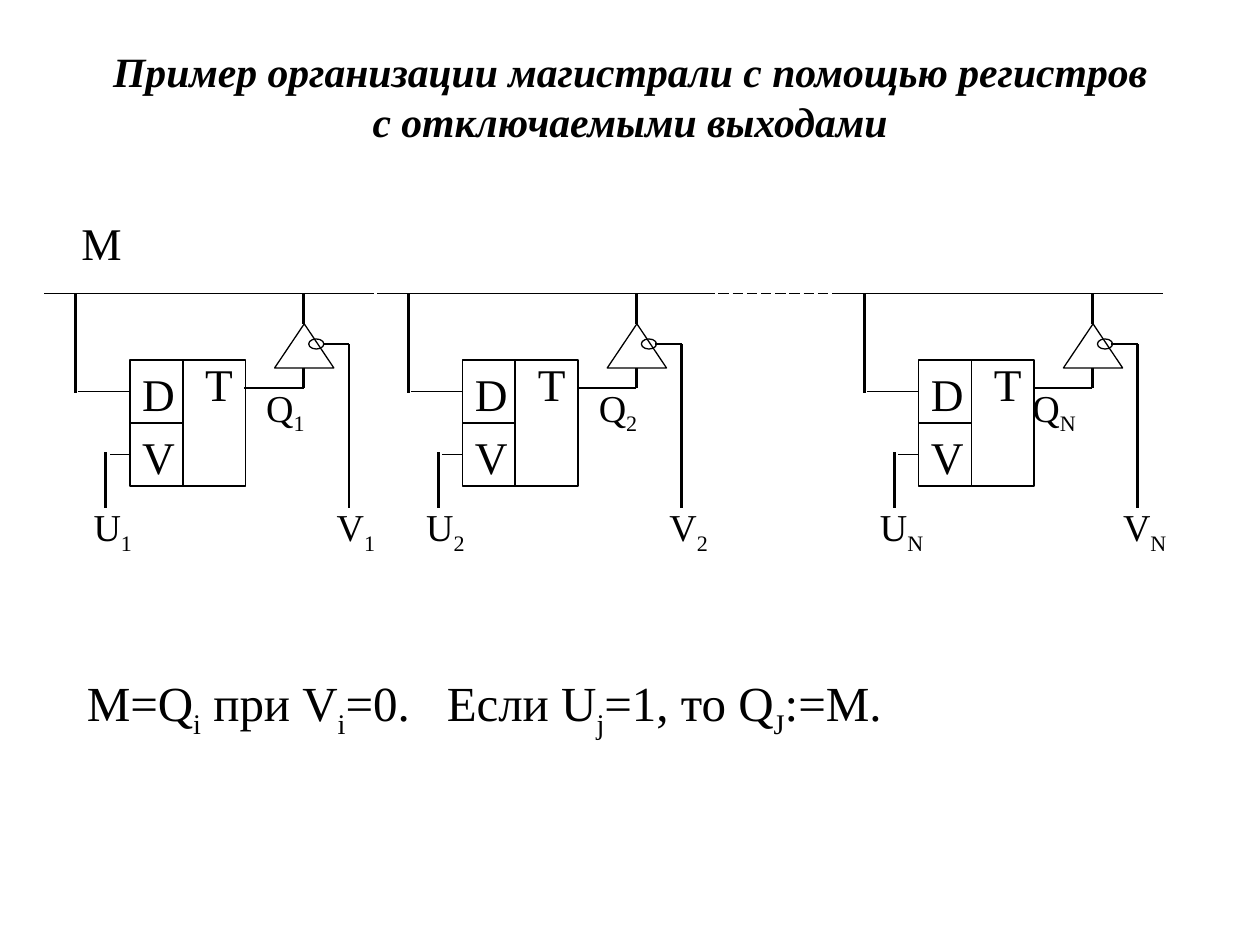
from lxml import etree
from pptx import Presentation
from pptx import util as u
from pptx.dml.color import RGBColor
from pptx.enum import dml, shapes, text
from pptx.oxml import ns

BLACK = RGBColor(0, 0, 0)
FONT = "Times New Roman"
CENTER = text.PP_ALIGN.CENTER
LEFT = text.PP_ALIGN.LEFT
BUS_Y = 2.33


def add_label(parent, content, left, top, width, height, size, align=CENTER):
    label = parent.shapes.add_textbox(u.Inches(left), u.Inches(top), u.Inches(width), u.Inches(height))
    frame = label.text_frame
    frame.word_wrap = True
    paragraph = frame.paragraphs[0]
    paragraph.alignment = align
    for index, part in enumerate(content.split("_")):
        if not part:
            continue
        run = paragraph.add_run()
        run.text = part
        run.font.name = FONT
        run.font.size = u.Pt(size)
        run.font.color.rgb = BLACK
        if index % 2:
            run._r.get_or_add_rPr().set("baseline", "-25000")
    return label


def add_line(parent, x1, y1, x2, y2, width):
    line = parent.shapes.add_connector(
        shapes.MSO_CONNECTOR.STRAIGHT, u.Inches(x1), u.Inches(y1), u.Inches(x2), u.Inches(y2))
    line.line.color.rgb = BLACK
    line.line.width = u.Pt(width)
    etree.SubElement(line._element.spPr, ns.qn("a:effectLst"))
    return line


presentation = Presentation()
presentation.slide_width = u.Inches(10)
presentation.slide_height = u.Inches(7.5)
slide = presentation.slides.add_slide(presentation.slide_layouts[5])

title = slide.shapes.title
title.left, title.top = u.Inches(0.75), u.Inches(0.29)
title.width, title.height = u.Inches(8.5), u.Inches(0.94)
title.text_frame.text = "Пример организации магистрали с помощью регистров с отключаемыми выходами"
title.text_frame.vertical_anchor = text.MSO_ANCHOR.MIDDLE
title.text_frame.paragraphs[0].alignment = CENTER
title_font = title.text_frame.paragraphs[0].runs[0].font
title_font.name = FONT
title_font.size = u.Pt(23.8)
title_font.bold = title_font.italic = True
title_font.color.rgb = BLACK

add_label(slide, "M", 0.43, 1.66, 0.75, 0.54, 25.9)

RECTANGLE = shapes.MSO_SHAPE.RECTANGLE
OUTLINES = [
    (RECTANGLE, 1.03, 2.86, 0.42, 0.5, 1),
    (RECTANGLE, 1.03, 3.36, 0.42, 0.5, 1),
    (RECTANGLE, 1.45, 2.86, 0.5, 1, 1),
    (shapes.MSO_SHAPE.FLOWCHART_EXTRACT, 2.18, 2.57, 0.47, 0.35, 0.75),
    (shapes.MSO_SHAPE.OVAL, 2.45, 2.69, 0.12, 0.08, 0.75),
]
WIRES = [
    (2.97, BUS_Y, 0.35, BUS_Y, 0.75),
    (0.6, BUS_Y, 0.6, 3.12, 1.5),
    (1.03, 3.11, 0.62, 3.11, 0.75),
    (1.03, 3.61, 0.87, 3.61, 0.75),
    (0.84, 3.59, 0.84, 4.03, 1.5),
    (2.41, 3.08, 1.94, 3.08, 0.75),
    (2.41, 2.92, 2.41, 3.08, 1.5),
    (2.41, BUS_Y, 2.41, 2.57, 1.5),
    (2.77, 2.73, 2.56, 2.73, 0.75),
    (2.77, 2.73, 2.77, 4.03, 1.5),
]
PIN_LABELS = [
    ("D", 1.03, 2.86, 0.26, CENTER),
    ("V", 1.03, 3.36, 0.42, LEFT),
    ("T", 1.53, 2.78, 0.42, LEFT),
]
REGISTERS = [("1", 0, 1.89), ("2", 2.64, 4.53), ("N", 6.26, 7.99)]

for number, offset, output_left in REGISTERS:
    register = slide.shapes.add_group_shape()
    for kind, left, top, width, height, weight in OUTLINES:
        shape = register.shapes.add_shape(
            kind, u.Inches(left + offset), u.Inches(top), u.Inches(width), u.Inches(height))
        shape.shadow.inherit = False
        shape.fill.background()
        shape.line.color.rgb = BLACK
        shape.line.width = u.Pt(weight)
    for x1, y1, x2, y2, weight in WIRES:
        add_line(register, x1 + offset, y1, x2 + offset, y2, weight)
    for name, left, top, width, align in PIN_LABELS:
        add_label(register, name, left + offset, top, width, 0.54, 25.9, align)
    for name, left in (("U", 0.52), ("V", 2.45)):
        add_label(register, f"{name}_{number}_", left + offset, 3.95, 0.75, 0.54, 21.7)
    add_label(slide, f"Q_{number}_", output_left, 3, 0.75, 0.54, 21.7)

bus_gap = add_line(slide, 5.59, BUS_Y, 6.69, BUS_Y, 0.75)
bus_gap.line.dash_style = dml.MSO_LINE.LONG_DASH

rule = add_label(slide, "M=Q_i_ при V_i_=0._ _Если U_j_=1, то Q_J_:=M.", 0.59, 5.29, 8.98, 0.63, 28, LEFT)
rule_paragraph = rule.text_frame.paragraphs[0]
rule_paragraph.space_before = u.Pt(17.5)
sentence_gap = rule_paragraph.runs[5]
sentence_gap._r.get_or_add_rPr().set("spc", "1700")

presentation.save("out.pptx")
